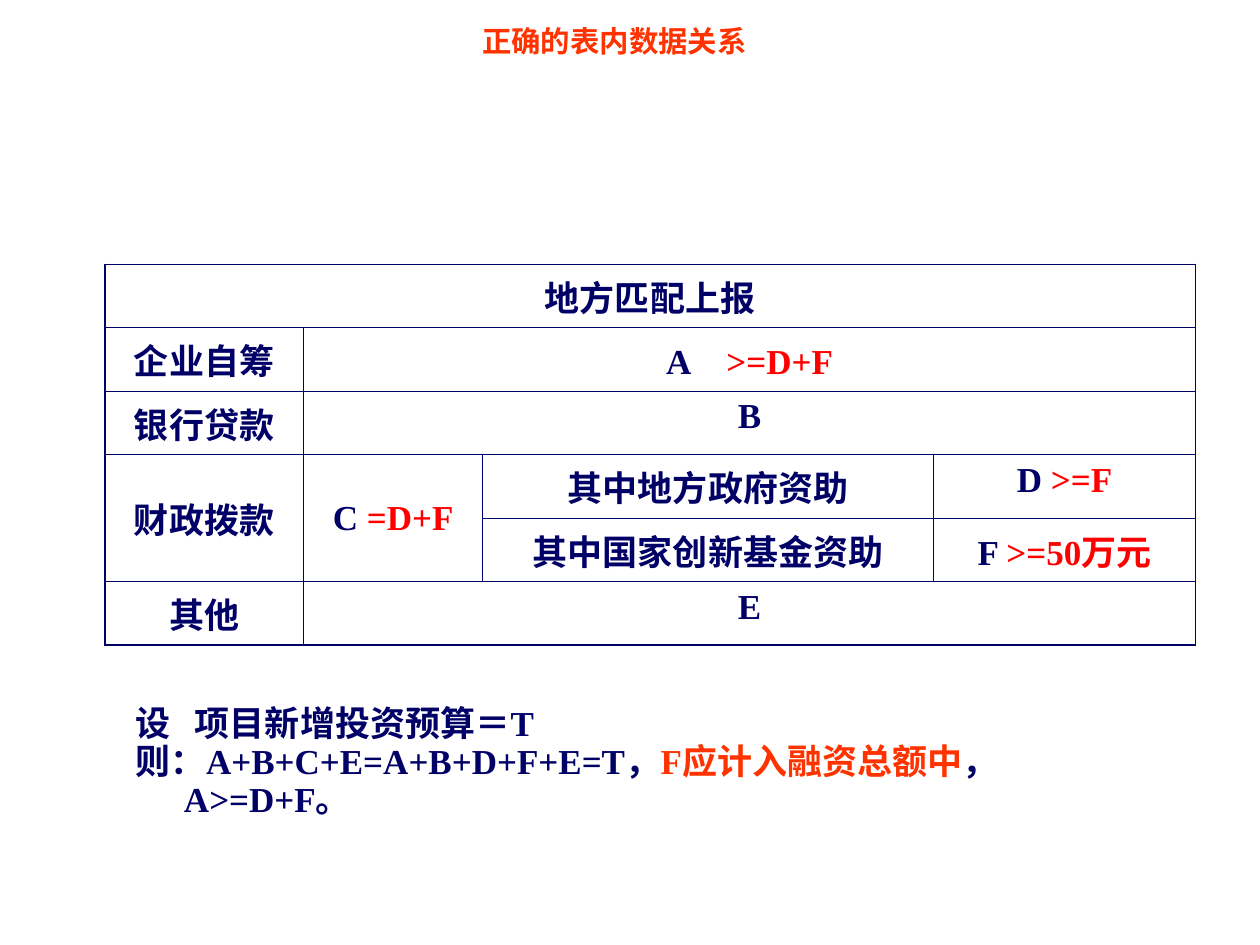
import pptx
import pptx.dml.color
import pptx.enum.text
import pptx.oxml
import pptx.oxml.ns
import pptx.util
from pptx.util import Cm

NAVY = pptx.dml.color.RGBColor(0x00, 0x00, 0x66)
RED = pptx.dml.color.RGBColor(0xFF, 0x00, 0x00)
ORANGE = pptx.dml.color.RGBColor(0xFF, 0x33, 0x00)
FONT = "Times New Roman"
INNER_LINE, OUTER_LINE = pptx.util.Pt(0.45), pptx.util.Pt(1.08)

COLUMN_WIDTHS = [Cm(4.01), Cm(3.61), Cm(9.09), Cm(5.28)]
ROW_COUNT = 6
# row, column, rows spanned, columns spanned, coloured pieces of text
FUNDING_CELLS = [
    (0, 0, 1, 4, [("地方匹配上报", NAVY)]),
    (1, 0, 1, 1, [("企业自筹", NAVY)]),
    (1, 1, 1, 3, [("A", NAVY), ("　>=D+F", RED)]),
    (2, 0, 1, 1, [("银行贷款", NAVY)]),
    (2, 1, 1, 3, [("B", NAVY)]),
    (3, 0, 2, 1, [("财政拨款", NAVY)]),
    (3, 1, 2, 1, [("C ", NAVY), ("=D+F", RED)]),
    (3, 2, 1, 1, [("其中地方政府资助", NAVY)]),
    (3, 3, 1, 1, [("D ", NAVY), (">=F", RED)]),
    (4, 2, 1, 1, [("其中国家创新基金资助", NAVY)]),
    (4, 3, 1, 1, [("F ", NAVY), (">=50万元", RED)]),
    (5, 0, 1, 1, [("其他", NAVY)]),
    (5, 1, 1, 3, [("E", NAVY)]),
]
# hanging indent, coloured pieces of text
FORMULA_LINES = [
    (Cm(1.19), [("设\t项目新增投资预算＝T", NAVY)]),
    (Cm(0.97), [("则：A+B+C+E=A+B+D+F+E=T，", NAVY),
                ("F应计入融资总额中", ORANGE), ("，A>=D+F。", NAVY)]),
]


def write_pieces(paragraph, pieces, size=20):
    for words, color in pieces:
        run = paragraph.add_run()
        run.text = words
        run.font.name = FONT
        run.font.size = pptx.util.Pt(size)
        run.font.bold = True
        run.font.color.rgb = color


def draw_borders(cell, row, column):
    """Thick lines on the table's outer edge, thin ones inside."""
    on_edge = {"L": column == 0, "R": column == len(COLUMN_WIDTHS) - 1,
               "T": row == 0, "B": row == ROW_COUNT - 1}
    properties = cell._tc.get_or_add_tcPr()
    for side, outer in on_edge.items():
        width = OUTER_LINE if outer else INNER_LINE
        properties.append(pptx.oxml.parse_xml(
            f'<a:ln{side} {pptx.oxml.ns.nsdecls("a")} w="{width}"><a:solidFill>'
            f'<a:srgbClr val="{NAVY}"/></a:solidFill></a:ln{side}>'))


def add_heading(slide, left, top, width, height):
    heading = slide.shapes.title
    heading.left, heading.top, heading.width, heading.height = left, top, width, height
    frame = heading.text_frame
    frame.word_wrap = True
    frame.auto_size = pptx.enum.text.MSO_AUTO_SIZE.NONE
    frame.vertical_anchor = pptx.enum.text.MSO_ANCHOR.TOP
    frame.paragraphs[0].alignment = pptx.enum.text.PP_ALIGN.CENTER
    write_pieces(frame.paragraphs[0], [("正确的表内数据关系", ORANGE)], 16.8)


def add_funding_table(slide, left, top, width, height):
    funding = slide.shapes.add_table(
        ROW_COUNT, len(COLUMN_WIDTHS), left, top, width, height).table
    funding.first_row = funding.horz_banding = False
    for column, column_width in zip(funding.columns, COLUMN_WIDTHS):
        column.width = column_width

    # Grid lines and plain background
    for row in range(ROW_COUNT):
        for column in range(len(COLUMN_WIDTHS)):
            cell = funding.cell(row, column)
            draw_borders(cell, row, column)
            cell.fill.background()

    # Merged areas and wording
    for row, column, row_span, column_span, pieces in FUNDING_CELLS:
        cell = funding.cell(row, column)
        if row_span * column_span > 1:
            cell.merge(funding.cell(row + row_span - 1, column + column_span - 1))
        if row_span > 1:
            cell.vertical_anchor = pptx.enum.text.MSO_ANCHOR.MIDDLE
        paragraph = cell.text_frame.paragraphs[0]
        paragraph.alignment = pptx.enum.text.PP_ALIGN.CENTER
        write_pieces(paragraph, pieces)


def add_formula(slide, left, top, width, height):
    frame = slide.shapes.add_textbox(left, top, width, height).text_frame
    frame.word_wrap = True
    for index, (indent, pieces) in enumerate(FORMULA_LINES):
        paragraph = frame.add_paragraph() if index else frame.paragraphs[0]
        paragraph.line_spacing = 0.9
        properties = paragraph._p.get_or_add_pPr()
        properties.set("marL", str(indent))
        properties.set("indent", str(-indent))
        write_pieces(paragraph, pieces)


def main():
    presentation = pptx.Presentation()
    presentation.slide_width, presentation.slide_height = Cm(25.4), Cm(19.05)
    slide = presentation.slides.add_slide(presentation.slide_layouts[5])
    add_heading(slide, Cm(7.09), Cm(0.33), Cm(10.59), Cm(0.99))
    add_funding_table(slide, Cm(2.11), Cm(5.33), sum(COLUMN_WIDTHS), ROW_COUNT * Cm(1.1))
    add_formula(slide, Cm(2.49), Cm(14.12), Cm(20.75), Cm(1.45))
    presentation.save("out.pptx")


if __name__ == "__main__":
    main()
